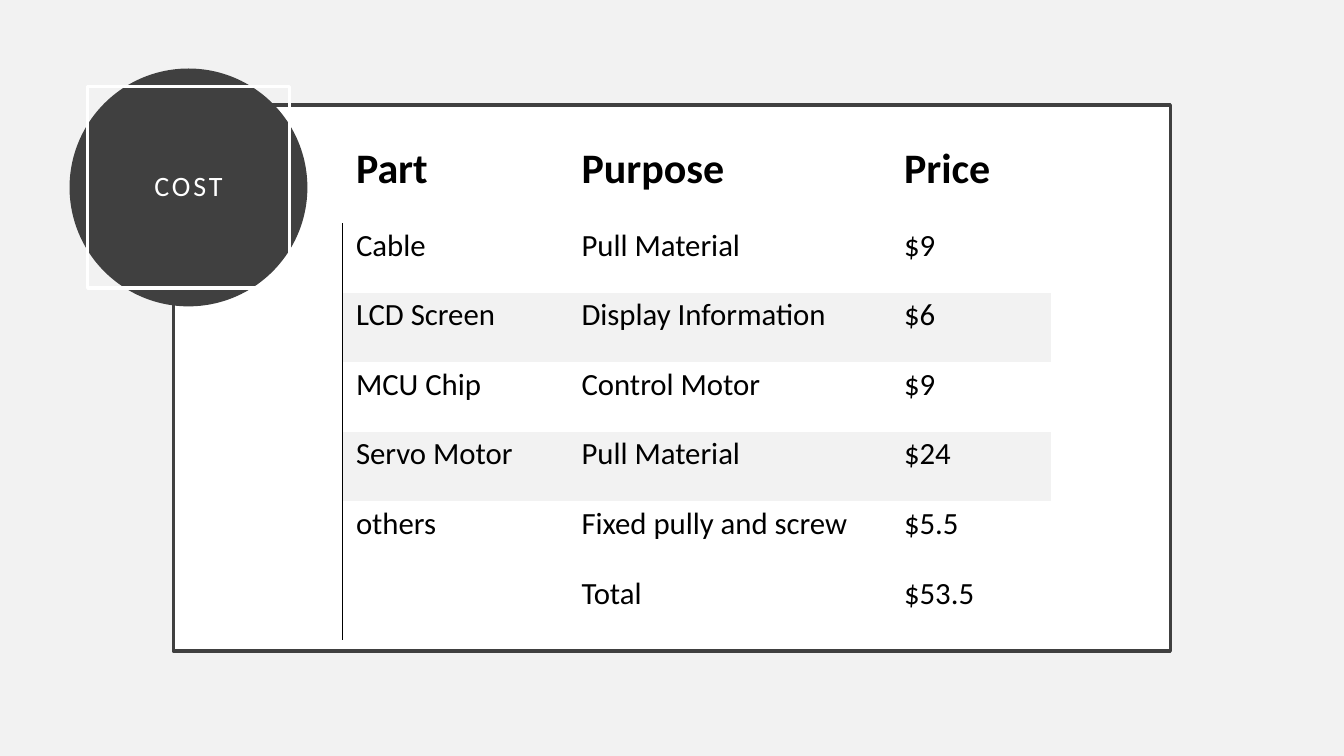
"""Build the cost slide: a parts and prices table on a framed panel."""
from lxml.etree import SubElement
from pptx import Presentation
from pptx.dml.color import RGBColor
from pptx.enum.shapes import MSO_SHAPE as Shape
from pptx.enum.text import MSO_ANCHOR as Anchor, PP_ALIGN as Align
from pptx.oxml import parse_xml
from pptx.oxml.ns import nsdecls, qn
from pptx.util import Pt

TITLE = "COST"
COST_ROWS = [
    ("Part", "Purpose", "Price"),
    ("Cable", "Pull Material", "$9"),
    ("LCD Screen", "Display Information", "$6"),
    ("MCU Chip", "Control Motor", "$9"),
    ("Servo Motor", "Pull Material", "$24"),
    ("others", "Fixed pully and screw", "$5.5"),
    ("", "Total", "$53.5"),
]

WHITE = RGBColor(0xFF, 0xFF, 0xFF)
BLACK = RGBColor(0, 0, 0)
DARK = RGBColor(0x40, 0x40, 0x40)
PALE = RGBColor(0xF2, 0xF2, 0xF2)
FONT = "Calibri"
NO_STYLE = "{2D5ABB26-0587-4C30-8999-92F81FD0307C}"

PANEL = (123.84, 74.88, 712.08, 390.24)
DISC = (49.68, 48.96, 169.92, 169.92)
TITLE_BOX = (62.64, 61.92, 144, 144)
TABLE_LEFT, TABLE_TOP = 244.8, 99.8
COLUMN_WIDTHS = (161.1, 230.4, 114.4)
HEADER_HEIGHT, ROW_HEIGHT = 59.2, 49.6
CELL_MARGINS = (9.5, 2.9, 13.5, 20)
TITLE_MARGINS = (14.4,) * 4


def write(frame, text, size, color, bold=False, align=Align.LEFT, spacing=0):
    """Put one formatted line of text into a text frame."""
    para = frame.paragraphs[0]
    para.alignment = align
    span = para.add_run()
    span.text = text
    span.font.name = FONT
    span.font.size = Pt(size)
    span.font.bold = bold
    span.font.color.rgb = color
    if spacing:
        span.font._element.set("spc", str(spacing * 100))
    return para


def set_margins(holder, margins):
    """Set the left, top, right and bottom margins of a cell or frame."""
    for side, margin in zip(("left", "top", "right", "bottom"), margins):
        setattr(holder, f"margin_{side}", Pt(margin))


def add_figure(page, kind, place, fill, line=None):
    """Add a filled preset shape, outlined when a line colour is given."""
    figure = page.shapes.add_shape(kind, *map(Pt, place))
    figure.shadow.inherit = False
    figure.fill.solid()
    figure.fill.fore_color.rgb = fill
    if line is None:
        figure.line.fill.background()
    else:
        figure.line.color.rgb = line
        figure.line.width = Pt(2.5)


def place_title(page):
    """Frame the title placeholder and bring it in front of the disc."""
    title = page.shapes.title
    title.left, title.top, title.width, title.height = map(Pt, TITLE_BOX)
    title.line.color.rgb = WHITE
    title.line.width = Pt(2.5)
    frame = title.text_frame
    frame.word_wrap = True
    frame.vertical_anchor = Anchor.MIDDLE
    set_margins(frame, TITLE_MARGINS)
    para = write(frame, TITLE, 20, WHITE, align=Align.CENTER, spacing=2)
    para.line_spacing = 0.9
    page.shapes._spTree.append(title._element)


def add_left_rule(cell):
    """Draw a thin black line on the left side of a cell."""
    rule = parse_xml(f'<a:lnL {nsdecls("a")} w="{Pt(0.75)}"/>')
    fill = SubElement(rule, qn("a:solidFill"))
    SubElement(fill, qn("a:srgbClr"), val=str(BLACK))
    cell._tc.get_or_add_tcPr().insert(0, rule)


def add_cost_table(page):
    """Add the table with a bold header and every other body row shaded."""
    heights = [HEADER_HEIGHT] + [ROW_HEIGHT] * (len(COST_ROWS) - 1)
    place = (TABLE_LEFT, TABLE_TOP, sum(COLUMN_WIDTHS), sum(heights))
    table = page.shapes.add_table(
        len(COST_ROWS), len(COLUMN_WIDTHS), *map(Pt, place)).table
    table.first_row = table.horz_banding = False
    table._tbl.tblPr.find(qn("a:tableStyleId")).text = NO_STYLE
    for column, width in zip(table.columns, COLUMN_WIDTHS):
        column.width = Pt(width)
    for r, (values, height) in enumerate(zip(COST_ROWS, heights)):
        table.rows[r].height = Pt(height)
        header = r == 0
        for c, value in enumerate(values):
            cell = table.cell(r, c)
            set_margins(cell, CELL_MARGINS)
            cell.vertical_anchor = Anchor.BOTTOM if header else Anchor.TOP
            if r in (2, 4):
                cell.fill.solid()
                cell.fill.fore_color.rgb = PALE
            else:
                cell.fill.background()
            if c == 0 and not header:
                add_left_rule(cell)
            if value:
                write(cell.text_frame, value, 30 if header else 22, BLACK,
                      bold=header)


def main():
    """Assemble and save the deck."""
    deck = Presentation()
    deck.slide_width, deck.slide_height = Pt(960), Pt(540)
    page = deck.slides.add_slide(deck.slide_layouts[5])
    page.background.fill.solid()
    page.background.fill.fore_color.rgb = PALE
    add_figure(page, Shape.RECTANGLE, PANEL, WHITE, line=DARK)
    add_figure(page, Shape.OVAL, DISC, DARK)
    place_title(page)
    add_cost_table(page)
    deck.save("out.pptx")


if __name__ == "__main__":
    main()
